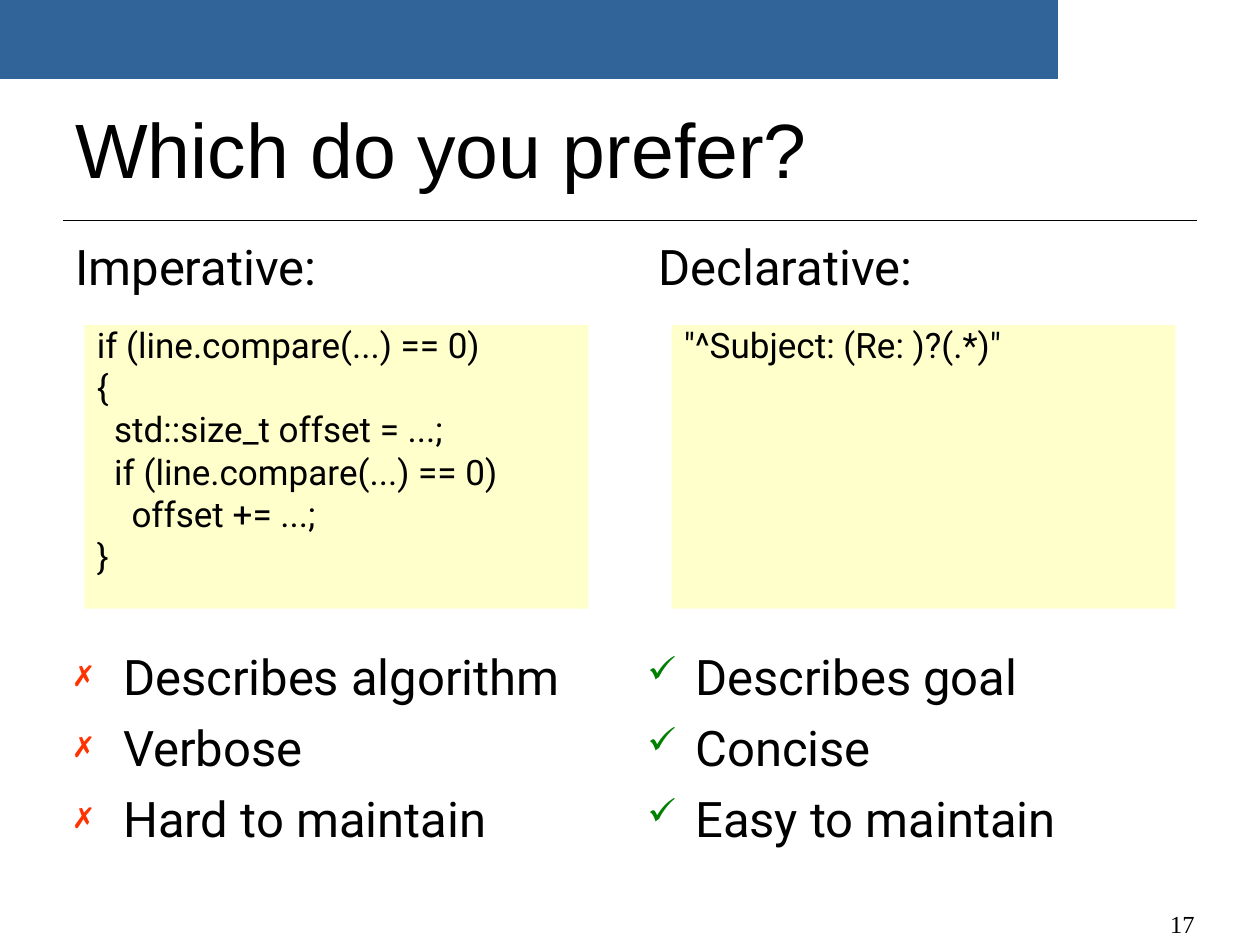
from lxml.etree import SubElement
from pptx import Presentation
from pptx.dml.color import RGBColor
from pptx.enum.shapes import MSO_CONNECTOR as Connector, MSO_SHAPE as Shape
from pptx.enum.text import MSO_ANCHOR as Anchor, PP_ALIGN as Align
from pptx.oxml.ns import qn
from pptx.util import Inches, Pt

COLORS = {
    "text": "000000",
    "banner_start": "31659A",
    "banner_end": "34679A",
    "code_fill": "FFFFCC",
    "bad": "FF3300",
    "good": "008000",
}
TITLE = "Which do you prefer?"
PAGE_NUMBER = "17"
COLUMNS = [
    {
        "heading": "Imperative:",
        "code": [
            "if (line.compare(...) == 0)",
            "{",
            "  std::size_t offset = ...;",
            "  if (line.compare(...) == 0)",
            "    offset += ...;",
            "}",
        ],
        "points": ["Describes algorithm", "Verbose", "Hard to maintain"],
        "bullet": ("✗", "bad"),
        "lefts": (0.5, 0.67, 0.5),
    },
    {
        "heading": "Declarative:",
        "code": ['"^Subject: (Re: )?(.*)"'],
        "points": ["Describes goal", "Concise", "Easy to maintain"],
        "bullet": ("✓", "good"),
        "lefts": (5.13, 5.33, 5.04),
    },
]
COLUMN_WIDTH = 4.46
HANGING_INDENT = 0.38


def color(name):
    return RGBColor.from_string(COLORS[name])


def add_bullet(paragraph, character, color_name):
    properties = paragraph._p.get_or_add_pPr()
    properties.set("marL", str(Inches(HANGING_INDENT)))
    properties.set("indent", str(-Inches(HANGING_INDENT)))
    bullet_color = SubElement(properties, qn("a:buClr"))
    SubElement(bullet_color, qn("a:srgbClr"), val=COLORS[color_name])
    SubElement(properties, qn("a:buSzPct"), val="75000")
    SubElement(properties, qn("a:buChar"), char=character)


def write_text(shape, lines, size, font="Roboto", space=0, line_spacing=None,
               align=Align.LEFT, anchor=Anchor.TOP, bullet=None):
    frame = shape.text_frame
    frame.word_wrap = True
    frame.vertical_anchor = anchor
    for index, line in enumerate(lines):
        paragraph = frame.add_paragraph() if index else frame.paragraphs[0]
        paragraph.text = line
        paragraph.alignment = align
        if bullet:
            add_bullet(paragraph, *bullet)
        if line_spacing:
            paragraph.line_spacing = line_spacing
        paragraph.space_before = Pt(space if index else 0)
        paragraph.font.name = font
        paragraph.font.size = Pt(size)
        paragraph.font.color.rgb = color("text")


def add_text(slide, box, lines, size, **style):
    write_text(slide.shapes.add_textbox(*map(Inches, box)), lines, size, **style)


def add_rectangle(slide, box):
    shape = slide.shapes.add_shape(Shape.RECTANGLE, *map(Inches, box))
    shape.shadow.inherit = False
    shape.line.fill.background()
    return shape


def add_frame(slide):
    rule = slide.shapes.add_connector(
        Connector.STRAIGHT, Inches(0.5), Inches(1.75), Inches(9.5), Inches(1.75))
    rule.line.color.rgb = color("text")
    rule.line.width = Pt(0.75)
    SubElement(rule._element.spPr, qn("a:effectLst"))

    banner = add_rectangle(slide, (0, 0, 8.4, 0.63))
    banner.fill.gradient()
    banner.fill.gradient_angle = 180
    for stop, name in zip(banner.fill.gradient_stops, ("banner_start", "banner_end")):
        stop.color.rgb = color(name)

    add_text(slide, (0.5, 0.67, 9, 1), [TITLE], 44, font="Arial", anchor=Anchor.MIDDLE)
    add_text(slide, (8.25, 6.98, 1.33, 0.52), [PAGE_NUMBER], 14,
             font="Times New Roman", align=Align.RIGHT, anchor=Anchor.BOTTOM)


def add_column(slide, column):
    heading_left, code_left, points_left = column["lefts"]
    add_text(slide, (heading_left, 1.83, COLUMN_WIDTH, 0.67), [column["heading"]], 28)

    code_box = add_rectangle(slide, (code_left, 2.58, 4, 2.25))
    code_box.fill.solid()
    code_box.fill.fore_color.rgb = color("code_fill")
    write_text(code_box, column["code"], 20, space=5, line_spacing=0.8)

    add_text(slide, (points_left, 5.08, COLUMN_WIDTH, 1.83), column["points"], 28,
             space=7, bullet=column["bullet"])


def main():
    presentation = Presentation()
    presentation.slide_width = Inches(10)
    presentation.slide_height = Inches(7.5)
    slide = presentation.slides.add_slide(presentation.slide_layouts[6])
    add_frame(slide)
    for column in COLUMNS:
        add_column(slide, column)
    presentation.save("out.pptx")


if __name__ == "__main__":
    main()
